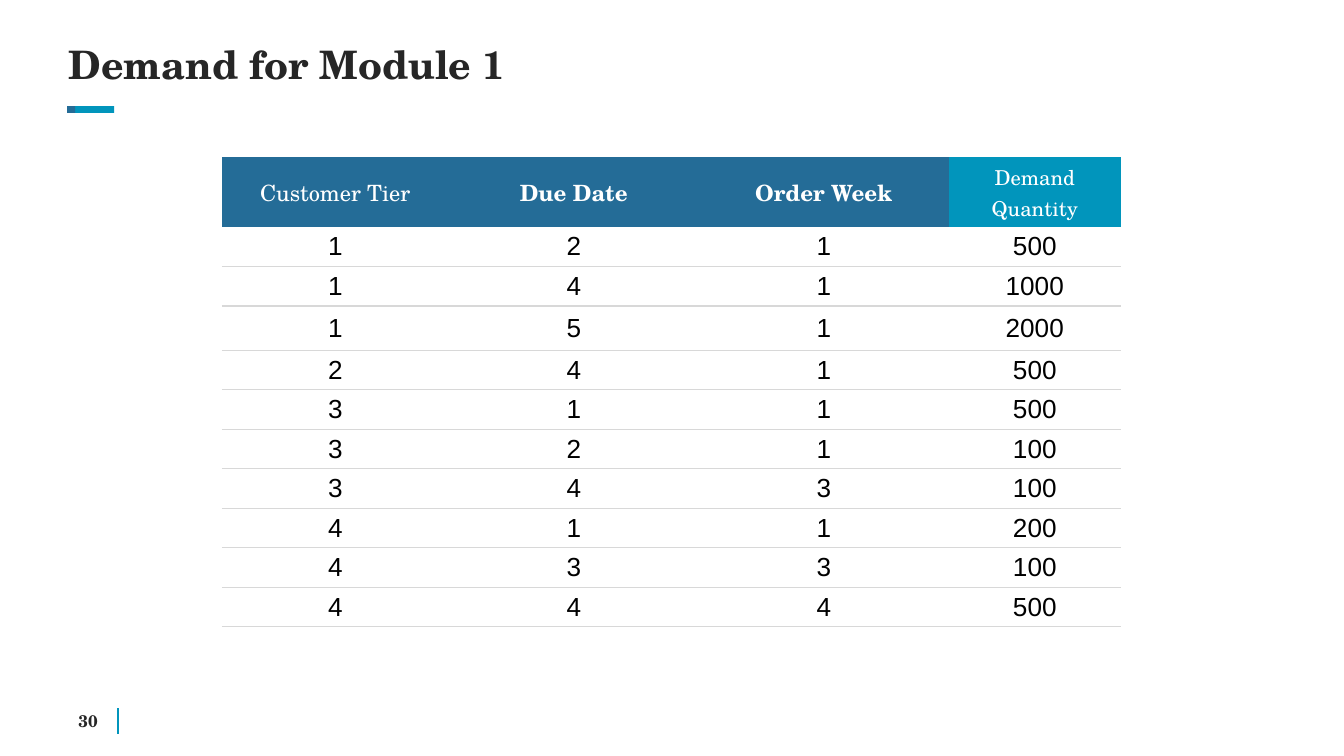
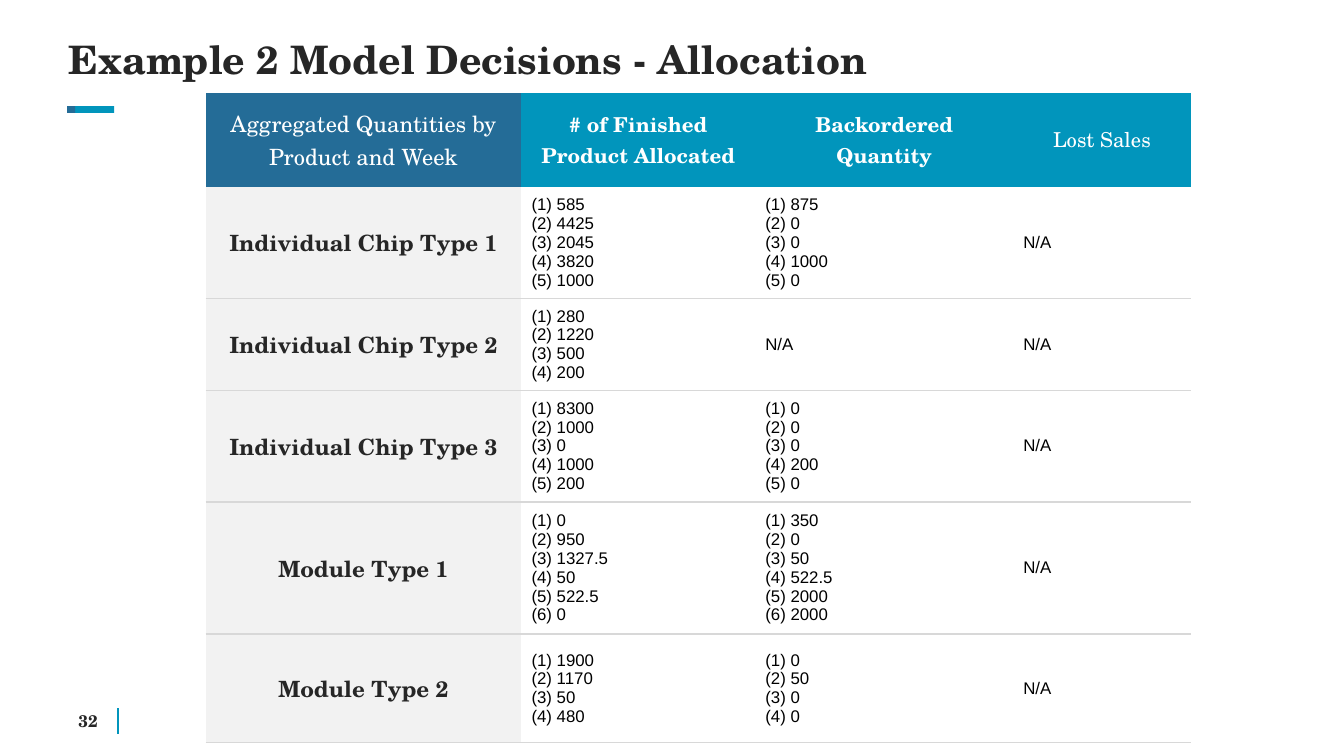
from dataclasses import dataclass

from lxml import etree
from pptx import Presentation
from pptx.dml.color import RGBColor as RGB
from pptx.enum.shapes import MSO_CONNECTOR as Line, MSO_SHAPE as Shape
from pptx.enum.text import MSO_ANCHOR as Anchor, MSO_AUTO_SIZE as Fit, PP_ALIGN as Align
from pptx.oxml import parse_xml
from pptx.oxml.ns import qn
from pptx.util import Inches, Pt

NS = 'xmlns:a="http://schemas.openxmlformats.org/drawingml/2006/main"'
PLAIN = "{2D5ABB26-0587-4C30-8999-92F81FD0307C}"


@dataclass(frozen=True)
class Theme:
    """Colours, fonts and type sizes of the deck."""
    navy: str = "246C97"
    teal: str = "0195BC"
    ink: str = "262626"
    black: str = "000000"
    white: str = "FFFFFF"
    pale: str = "F2F2F2"
    rule: str = "D8D8D8"
    serif: str = "TeX Gyre Schola"
    sans: str = "Arial"
    title: float = 21
    head: float = 12
    small: float = 11
    data: float = 14
    note: float = 9


T = Theme()


def style(para, size, color, face=T.serif, bold=False, align=Align.LEFT):
    """Set the font and alignment of a paragraph."""
    font = para.font
    font.size, font.name, font.bold = Pt(size), face, bold
    font.color.rgb = RGB.from_string(color)
    para.alignment = align


def label(slide, box, text, size, **look):
    """Add a bold line of text without insets."""
    frame = slide.shapes.add_textbox(*map(Inches, box)).text_frame
    frame.margin_left = frame.margin_right = frame.margin_top = frame.margin_bottom = 0
    frame.word_wrap = True
    frame.text = text
    style(frame.paragraphs[0], size, T.ink, bold=True, **look)
    return frame


def title(slide, box, text):
    """Add the slide title."""
    frame = label(slide, box, text, T.title)
    frame.auto_size = Fit.SHAPE_TO_FIT_TEXT
    frame.paragraphs[0].line_spacing = 0.9


def accent(slide, left, top):
    """Add the two-colour dash under the title."""
    for shift, width, color in ((0.05, 0.3, T.teal), (0, 0.06, T.navy)):
        bar = slide.shapes.add_shape(Shape.RECTANGLE, Inches(left + shift), Inches(top),
                                     Inches(width), Inches(0.05))
        bar.shadow.inherit = False
        bar.fill.solid()
        bar.fill.fore_color.rgb = RGB.from_string(color)
        bar.line.fill.background()


def footer(slide, left, top, number):
    """Add the page number and the rule beside it."""
    x = Inches(left + 0.37)
    rule = slide.shapes.add_connector(Line.STRAIGHT, x, Inches(top), x, Inches(top + 0.19))
    rule.line.color.rgb = RGB.from_string(T.teal)
    rule.line.width = Pt(1)
    etree.SubElement(rule._element.spPr, qn("a:effectLst"))
    frame = label(slide, (left, top + 0.01, 0.29, 0.16), str(number), T.note, align=Align.CENTER)
    frame.vertical_anchor = Anchor.MIDDLE


def fill(cell, lines, back, *look, pad=0.04, **more):
    """Fill a cell with paragraphs in one style."""
    cell.margin_left = cell.margin_right = Pt(5.4)
    cell.margin_top = cell.margin_bottom = Inches(pad)
    cell.vertical_anchor = Anchor.MIDDLE
    cell.fill.solid()
    cell.fill.fore_color.rgb = RGB.from_string(back)
    cell.text = "\n".join(lines)
    for para in cell.text_frame.paragraphs:
        style(para, *look, **more)


def border(cell):
    """Draw the thin rule below a cell."""
    xml = (f'<a:lnB {NS} w="{Pt(0.75)}"><a:solidFill><a:srgbClr val="{T.rule}"/>'
           '</a:solidFill></a:lnB>')
    cell._tc.get_or_add_tcPr().insert(0, parse_xml(xml))


def grid(slide, left, top, cols, rows, heads):
    """Add a plain table with its header row and rules."""
    frame = slide.shapes.add_table(len(rows), len(cols), Inches(left), Inches(top),
                                   Inches(sum(cols)), Inches(sum(rows)))
    frame._element.xpath(".//a:tableStyleId")[0].text = PLAIN
    table = frame.table
    table.horz_banding = False
    for col, width in zip(table.columns, cols):
        col.width = Inches(width)
    for row, height in zip(table.rows, rows):
        row.height = Inches(height)
    last = len(heads) - 1
    for i, (text, back, size) in enumerate(heads):
        fill(table.cell(0, i), [text], back, size, T.white,
             bold=0 < i < last, align=Align.CENTER)
    for r in range(1, len(rows)):
        for c in range(len(cols)):
            border(table.cell(r, c))
    return table


def demand(slide, left, top):
    """Add the table of orders."""
    heads = [(text, T.navy, T.head) for text in ("Customer Tier", "Due Date", "Order Week")]
    heads.append(("Demand Quantity", T.teal, T.small))
    orders = [
        (1, 2, 1, 500), (1, 4, 1, 1000), (1, 5, 1, 2000), (2, 4, 1, 500), (3, 1, 1, 500),
        (3, 2, 1, 100), (3, 4, 3, 100), (4, 1, 1, 200), (4, 3, 3, 100), (4, 4, 4, 500),
    ]
    rows = [0.52] + [0.29] * len(orders)
    rows[3] = 0.33
    table = grid(slide, left, top, (1.69, 1.86, 1.86, 1.28), rows, heads)
    for r, order in enumerate(orders, 1):
        for c, value in enumerate(order):
            fill(table.cell(r, c), [str(value)], T.white, T.data, T.black, T.sans,
                 pad=0.03, align=Align.CENTER)


def weeks(values):
    """Number the weekly values, or state that there are none."""
    return [f"({i}) {v}" for i, v in enumerate(values, 1)] or ["N/A"]


def supply(slide, left, top):
    """Add the table of weekly allocations."""
    heads = [("Aggregated Quantities by Product and Week", T.navy, T.head)]
    heads += [(text, T.teal, T.small) for text in
              ("# of Finished Product Allocated", "Backordered Quantity", "Lost Sales")]
    items = [
        ("Individual Chip Type 1", (585, 4425, 2045, 3820, 1000), (875, 0, 0, 1000, 0)),
        ("Individual Chip Type 2", (280, 1220, 500, 200), ()),
        ("Individual Chip Type 3", (8300, 1000, 0, 1000, 200), (0, 0, 0, 200, 0)),
        ("Module Type 1", (0, 950, 1327.5, 50, 522.5, 0), (350, 0, 50, 522.5, 2000, 2000)),
        ("Module Type 2", (1900, 1170, 50, 480), (0, 50, 0, 0)),
    ]
    rows = (0.7, 0.83, 0.67, 0.83, 0.98, 0.81)
    table = grid(slide, left, top, (2.35, 1.74, 1.92, 1.32), rows, heads)
    for r, (name, *series) in enumerate(items, 1):
        fill(table.cell(r, 0), [name], T.pale, T.head, T.ink, bold=True, align=Align.CENTER)
        for c, values in enumerate((*series, ()), 1):
            fill(table.cell(r, c), weeks(values), T.white, T.note, T.black, T.sans)


def page(deck, number):
    """Add a blank slide with the shared dash and footer."""
    slide = deck.slides.add_slide(deck.slide_layouts[6])
    accent(slide, 0.5, 0.79)
    footer(slide, 0.51, 5.27, number)
    return slide


def main():
    """Build the deck and save it."""
    deck = Presentation()
    deck.slide_width = Inches(10)
    deck.slide_height = Inches(10 * 9 / 16)
    slide = page(deck, 30)
    demand(slide, 1.65, 1.17)
    title(slide, (0.51, 0.34, 8.98, 0.32), "Demand for Module 1")
    slide = page(deck, 32)
    title(slide, (0.51, 0.3, 9.37, 0.64), "Example 2 Model Decisions - Allocation")
    supply(slide, 1.53, 0.69)
    deck.save("out.pptx")


if __name__ == "__main__":
    main()
